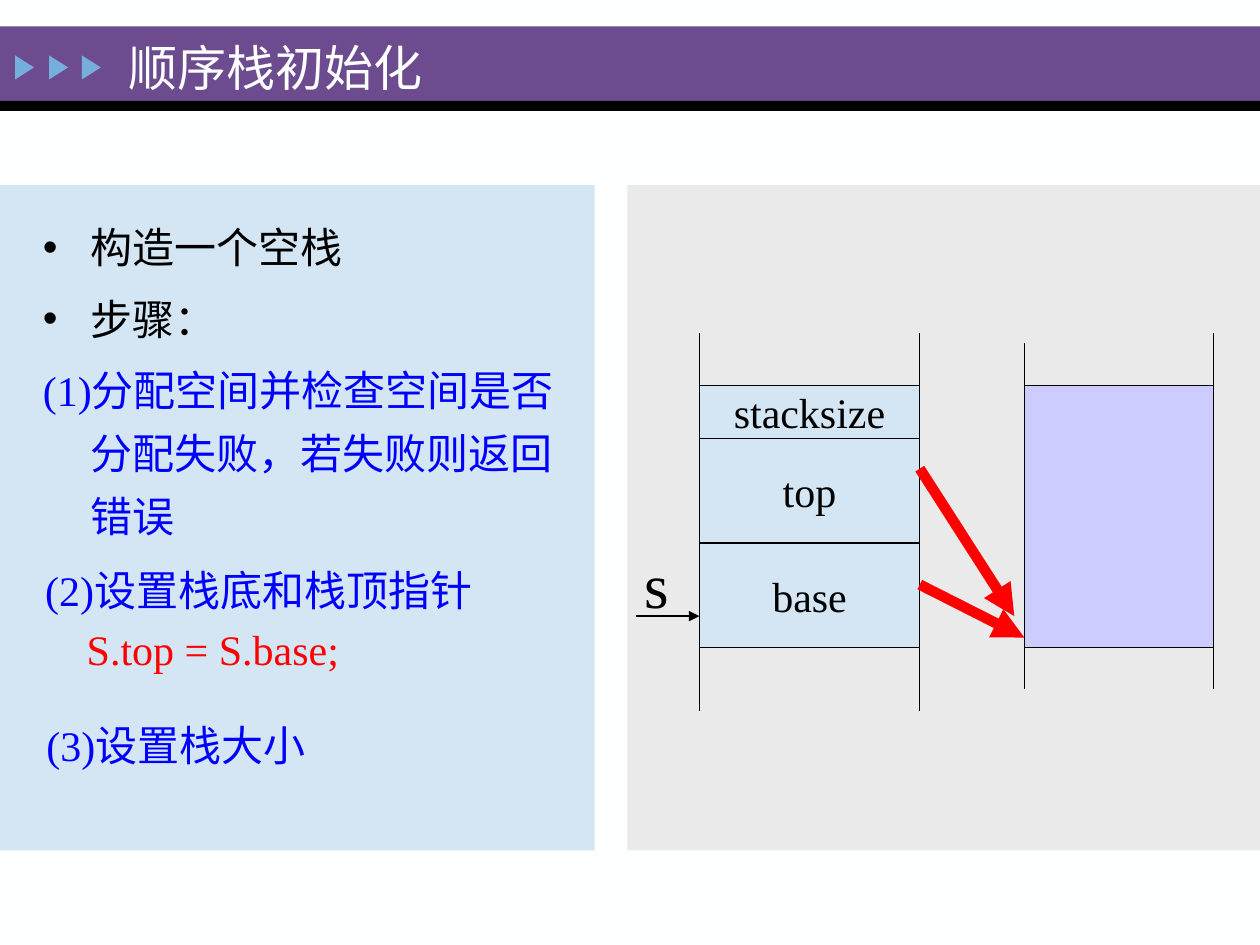
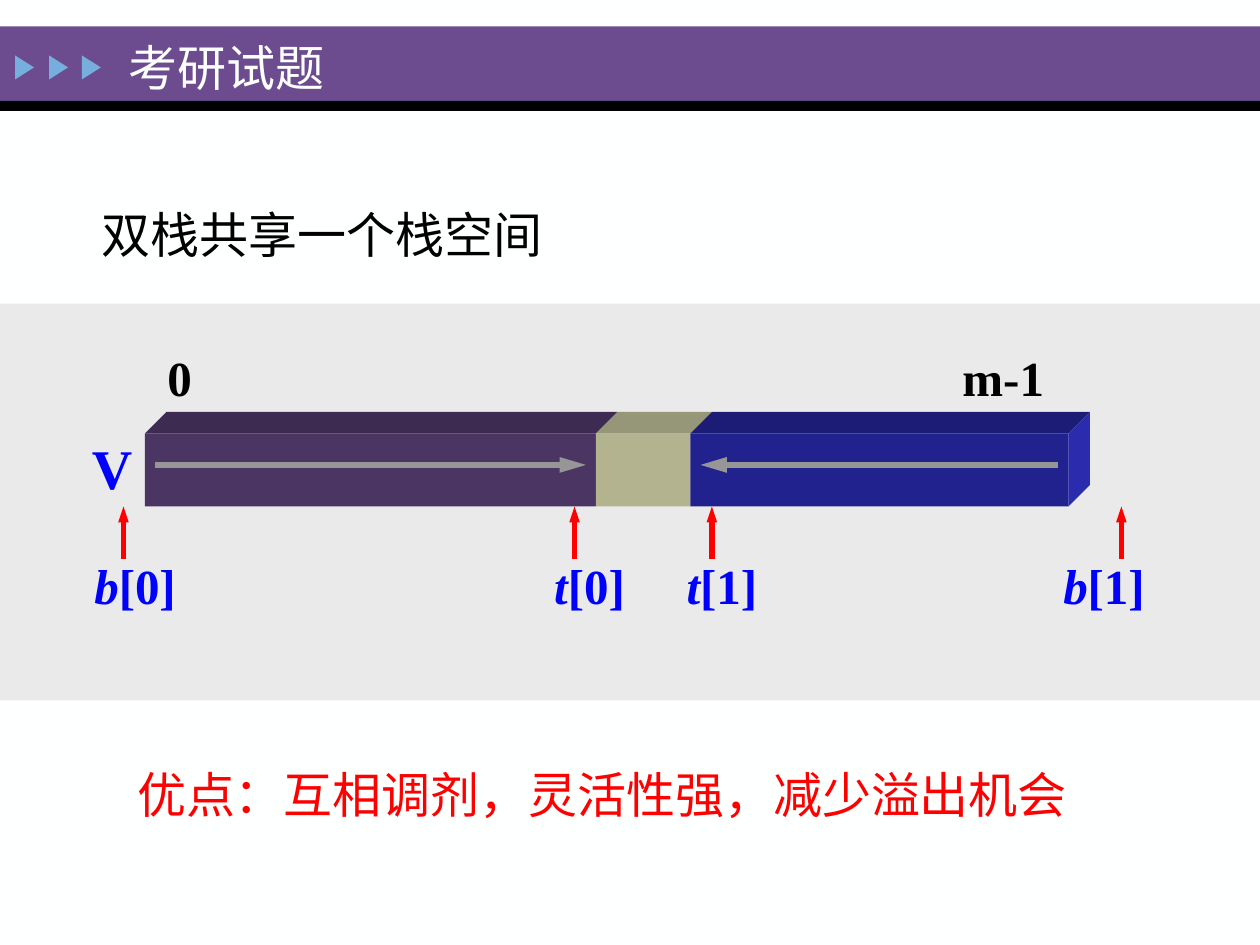
from lxml import etree
from pptx import Presentation
from pptx.dml.color import RGBColor
from pptx.enum import shapes, text
from pptx.oxml.ns import qn
from pptx.util import Inches, Pt

PURPLE = RGBColor(0x6C, 0x4C, 0x8F)
WHITE = RGBColor(0xFE, 0xFF, 0xFF)
BLACK = RGBColor(0, 0, 0)
SKY = RGBColor(0x76, 0xAE, 0xDD)
PALE_BLUE = RGBColor(0xD4, 0xE6, 0xF4)
PALE_GRAY = RGBColor(0xEA, 0xEA, 0xEA)
LILAC = RGBColor(0xCC, 0xCC, 0xFF)
BLUE = RGBColor(0, 0, 0xFF)
RED = RGBColor(0xFF, 0, 0)
GRAY = RGBColor(0x96, 0x96, 0x96)
# Block faces: front and top of each, then the side of the last
PLUM = RGBColor(0x4B, 0x35, 0x62), RGBColor(0x3E, 0x2B, 0x52)
KHAKI = RGBColor(0xB3, 0xB3, 0x8F), RGBColor(0x96, 0x96, 0x78)
NAVY = RGBColor(0x22, 0x22, 0x8F), RGBColor(0x1C, 0x1C, 0x77)
NAVY_SIDE = RGBColor(0x2B, 0x2B, 0xAE)
FONT = "Times New Roman"
SHAPE = shapes.MSO_SHAPE


def paint(shape, fill, line=None):
    shape.shadow.inherit = False
    if fill is None:
        shape.fill.background()
    else:
        shape.fill.solid()
        shape.fill.fore_color.rgb = fill
    if line is None:
        shape.line.fill.background()
    else:
        shape.line.color.rgb = line
        shape.line.width = Pt(0.75)


def add_block(page, left, top, width, height, fill, line=None, kind=SHAPE.RECTANGLE):
    block = page.shapes.add_shape(
        kind, Inches(left), Inches(top), Inches(width), Inches(height))
    paint(block, fill, line)
    return block


def add_face(page, points, fill):
    corners = [(Inches(x), Inches(y)) for x, y in points]
    builder = page.shapes.build_freeform(*corners[0], scale=1.0)
    builder.add_line_segments(corners[1:], close=True)
    paint(builder.convert_to_shape(), fill)


def add_line(page, start, end, color=BLACK, width=0.75, arrow=None):
    """Draw a line; arrow is the (width, length) of the head at its end."""
    line = page.shapes.add_connector(
        shapes.MSO_CONNECTOR.STRAIGHT, *map(Inches, start + end))
    line.line.color.rgb = color
    line.line.width = Pt(width)
    properties = line.element.spPr
    if arrow:
        etree.SubElement(properties.find(qn("a:ln")), qn("a:tailEnd"),
                         type="triangle", w=arrow[0], len=arrow[1])
    etree.SubElement(properties, qn("a:effectLst"))


def style(para, size, color, bold=None):
    font = para.font
    font.name, font.size, font.bold = FONT, Pt(size), bold
    font.color.rgb = color


def add_text(page, box, words, size, color, bold=None, wrap=True):
    frame = page.shapes.add_textbox(*map(Inches, box)).text_frame
    frame.word_wrap = wrap
    para = frame.paragraphs[0]
    para.text = words
    style(para, size, color, bold)
    return para


def indent(para, left, first, bullet=None):
    properties = para._p.get_or_add_pPr()
    properties.set("marL", str(Inches(left)))
    properties.set("indent", str(Inches(first)))
    if bullet:
        etree.SubElement(properties, qn("a:buChar"), char=bullet)
    else:
        etree.SubElement(properties, qn("a:buNone"))


def build_master(deck, page):
    """Draw the header on a page and hand it to the slide master."""
    master = deck.slide_master
    master.background.fill.solid()
    master.background.fill.fore_color.rgb = WHITE
    header = [add_block(page, 0, 0.21, 10, 0.59, PURPLE),
              add_block(page, 0, 0.8, 10, 0.08, BLACK)]
    for left in (0.1, 0.37, 0.63):
        marker = add_block(page, left, 0.46, 0.19, 0.15, SKY,
                           kind=SHAPE.ISOSCELES_TRIANGLE)
        marker.rotation = 90
        header.append(marker)
    for number, part in enumerate(header, 20):
        part.element.xpath(".//p:cNvPr")[0].set("id", str(number))
        master.shapes.element.insert_element_before(part.element, "p:extLst")


def set_title(page, words):
    title = page.shapes.title
    title.left, title.top = Inches(0.92), Inches(0.28)
    title.width, title.height = Inches(7), Inches(0.5)
    frame = title.text_frame
    frame.text = words
    frame.auto_size = text.MSO_AUTO_SIZE.NONE
    frame.vertical_anchor = text.MSO_ANCHOR.MIDDLE
    para = frame.paragraphs[0]
    para.alignment = text.PP_ALIGN.LEFT
    style(para, 28, WHITE)


def fill_steps(page, left, top):
    """Initialisation steps: the list, then the numbered continuation."""
    body = page.placeholders[1]
    body.left, body.top = Inches(left), Inches(top)
    body.width, body.height = Inches(4.53), Inches(2.66)
    frame = body.text_frame
    frame.auto_size = text.MSO_AUTO_SIZE.NONE
    items = [("构造一个空栈", BLACK, "•"), ("步骤：", BLACK, "•"),
             ("(1)分配空间并检查空间是否分配失败，若失败则返回错误", BLUE, None)]
    for number, (words, color, bullet) in enumerate(items):
        para = frame.add_paragraph() if number else frame.paragraphs[0]
        para.text = words
        para.line_spacing = 1.25
        para.space_before = Pt(4.8 if number else 0)
        indent(para, 0.38, -0.38, bullet)
        style(para, 24, color)

    pointers = add_text(page, (left + 0.02, top + 2.82, 5.12, 1.14),
                        "(2)设置栈底和栈顶指针", 24, BLUE)
    indent(pointers, 0.38, -0.38)
    code = page.shapes[-1].text_frame.add_paragraph()
    code.text = "S.top = S.base;"
    code.space_before = Pt(4.8)
    indent(code, 0.33, 0)
    style(code, 24, RED)
    size = add_text(page, (left + 0.03, top + 4.05, 4.91, 0.57),
                    "(3)设置栈大小", 24, BLUE)
    indent(size, 0.38, -0.38)


def draw_column(page, left, top, width, fill, cells, rails):
    """Stacked cells between two rails; rails are (top, bottom) pairs."""
    for words, height in cells:
        cell = add_block(page, left, top, width, height, fill, BLACK)
        top += height
        if words:
            frame = cell.text_frame
            frame.word_wrap = False
            frame.vertical_anchor = text.MSO_ANCHOR.MIDDLE
            para = frame.paragraphs[0]
            para.text = words
            para.alignment = text.PP_ALIGN.CENTER
            style(para, 24, BLACK)
    for x, (start, end) in zip((left, left + width), rails):
        add_line(page, (x, start), (x, end))


def draw_stack_diagram(page, left, top):
    record, memory = left + 0.57, left + 3.15
    draw_column(page, record, top + 1.59, 1.75, PALE_BLUE,
                [("stacksize", 0.42), ("top", 0.83), ("base", 0.83)],
                [(top + 1.17, top + 4.17)] * 2)
    draw_column(page, memory, top + 1.59, 1.5, LILAC, [("", 2.08)],
                [(top + 1.25, top + 4), (top + 1.17, top + 4)])
    # Pointer to the record, then its two pointers into memory
    add_line(page, (left + 0.07, top + 3.42), (record, top + 3.42),
             arrow=("med", "med"))
    add_text(page, (left + 0.04, top + 2.81, 0.4, 0.71), "s", 36, BLACK, wrap=False)
    edge = record + 1.75
    for start, end in [((edge, top + 3.17), (memory, top + 3.59)),
                       ((edge, top + 2.25), (memory - 0.08, top + 3.42))]:
        add_line(page, start, end, RED, 6, ("med", "med"))


def draw_shared_array(page, left, top):
    """Two stacks growing towards each other in one array."""
    height, depth = 0.58, 0.17
    bottom = top + height
    x = left
    for width, (front, lid) in [(3.58, PLUM), (0.75, KHAKI), (3, NAVY)]:
        add_block(page, x, top, width, height, front)
        add_face(page, [(x, top), (x + depth, top - depth),
                        (x + width + depth, top - depth), (x + width, top)], lid)
        x += width
    add_face(page, [(x, top), (x + depth, top - depth),
                    (x + depth, bottom - depth), (x, bottom)], NAVY_SIDE)

    # Growth directions
    middle = top + 0.25
    for start, end in [(0.08, 3.5), (7.25, 4.41)]:
        add_line(page, (left + start, middle), (left + end, middle),
                 GRAY, 3, ("med", "lg"))

    # Array name and bounds
    add_text(page, (left - 0.52, top - 0.05, 0.52, 0.63), "V", 32, BLUE, True)
    for words, offset in [("0", 0.08), ("m-1", 6.39)]:
        add_text(page, (left + offset, top - 0.73, 0.85, 0.57),
                 words, 28, BLACK, True, wrap=False)

    # Stack pointers: arrow and label offsets
    for letter, index, arrow, label in [("b", "[0]", -0.17, -0.5), ("t", "[0]", 3.41, 3.15),
                                        ("t", "[1]", 4.5, 4.2), ("b", "[1]", 7.75, 7.19)]:
        add_line(page, (left + arrow, bottom + 0.42), (left + arrow, bottom),
                 RED, 3, ("sm", "med"))
        para = add_text(page, (left + label, bottom + 0.34, 0.85, 0.57),
                        letter, 28, BLUE, True, wrap=False)
        para.runs[0].font.italic = True
        para.add_run().text = index


def build_initialisation(page):
    set_title(page, "顺序栈初始化")
    tree = page.shapes.element
    body = page.placeholders[1].element
    add_block(page, 0, 1.47, 4.72, 5.28, PALE_BLUE)
    add_block(page, 4.98, 1.47, 5.02, 5.28, PALE_GRAY)
    tree.append(body)  # bring the list in front of its panel
    fill_steps(page, 0.24, 1.61)
    draw_stack_diagram(page, 4.98, 1.47)


def build_exam_question(page):
    set_title(page, "考研试题")
    add_block(page, 0, 2.41, 10, 3.15, PALE_GRAY)
    draw_shared_array(page, 1.15, 3.44)
    heading = add_block(page, 0.68, 1.52, 4.99, 0.62, None,
                        kind=SHAPE.ROUNDED_RECTANGLE)
    frame = heading.text_frame
    frame.vertical_anchor = text.MSO_ANCHOR.TOP
    para = frame.paragraphs[0]
    para.text = "双栈共享一个栈空间"
    para.alignment = text.PP_ALIGN.LEFT
    para.line_spacing = 1.05
    style(para, 28, BLACK)
    add_text(page, (0.99, 6.02, 8.1, 0.57),
             "优点：互相调剂，灵活性强，减少溢出机会", 28, RED)


def main():
    deck = Presentation()
    deck.slide_width, deck.slide_height = Inches(10), Inches(7.5)
    first = deck.slides.add_slide(deck.slide_layouts[1])
    build_master(deck, first)
    build_initialisation(first)
    build_exam_question(deck.slides.add_slide(deck.slide_layouts[5]))
    deck.save("out.pptx")


if __name__ == "__main__":
    main()
